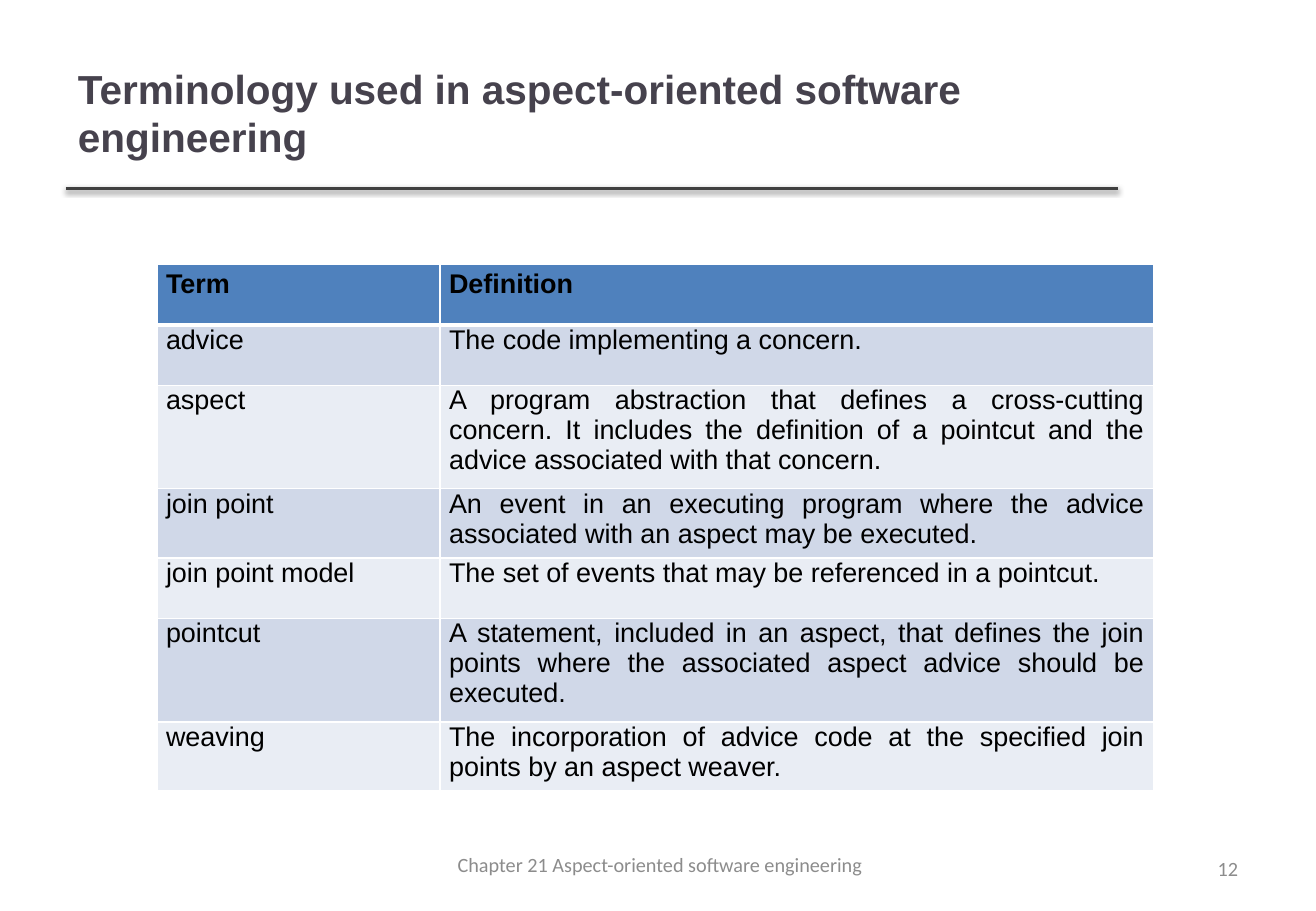
from lxml import etree
from pptx import Presentation
from pptx.dml.color import RGBColor
from pptx.enum.shapes import MSO_CONNECTOR
from pptx.enum.text import MSO_ANCHOR, MSO_AUTO_SIZE, PP_ALIGN
from pptx.oxml import parse_xml
from pptx.oxml.ns import nsdecls, qn
from pptx.util import Pt

LEFT, CENTER, RIGHT, JUSTIFY = PP_ALIGN.LEFT, PP_ALIGN.CENTER, PP_ALIGN.RIGHT, PP_ALIGN.JUSTIFY
TOP, MIDDLE = MSO_ANCHOR.TOP, MSO_ANCHOR.MIDDLE
STRAIGHT = MSO_CONNECTOR.STRAIGHT
NO_AUTOFIT = MSO_AUTO_SIZE.NONE

HEADER_FILL = "4F81BD"
BAND_FILLS = ["D0D8E8", "E9EDF4"]
BORDER_COLOR = "FFFFFF"
FOOTER_COLOR = "8C8C8C"
COLUMN_WIDTHS = [167.8, 422.9]
ROW_HEIGHTS = [36, 36, 61.2, 41, 36, 61.2, 41]
TERMS = [
    ("Term", "Definition"),
    ("advice", "The code implementing a concern."),
    ("aspect", "A program abstraction that defines a cross-cutting concern. It includes the "
               "definition of a pointcut and the advice associated with that concern."),
    ("join point", "An event in an executing program where the advice associated with an "
                   "aspect may be executed."),
    ("join point model", "The set of events that may be referenced in a pointcut."),
    ("pointcut", "A statement, included in an aspect, that defines the join points where the "
                 "associated aspect advice should be executed."),
    ("weaving", "The incorporation of advice code at the specified join points by an aspect "
                "weaver."),
]


def color(hex_string):
    return RGBColor.from_string(hex_string)


def write_text(frame, text, size=16, font="Arial", fill="000000", bold=False,
               align=LEFT, space_after=0):
    frame.word_wrap = True
    paragraph = frame.paragraphs[0]
    paragraph.text = text
    paragraph.alignment = align
    paragraph.space_after = Pt(space_after)
    paragraph.font.size = Pt(size)
    paragraph.font.name = font
    paragraph.font.bold = bold
    paragraph.font.color.rgb = color(fill)


def add_title(slide, left, top, width, height):
    """Fill the title placeholder and rule a shadowed line along its bottom edge."""
    title = slide.shapes.title
    title.left, title.top, title.width, title.height = Pt(left), Pt(top), Pt(width), Pt(height)
    frame = title.text_frame
    frame.auto_size = NO_AUTOFIT
    frame.vertical_anchor = MIDDLE
    write_text(frame, "Terminology used in aspect-oriented software engineering",
               size=24, fill="46424D", bold=True)

    bottom = Pt(top + height)
    rule = slide.shapes.add_connector(STRAIGHT, Pt(left), bottom, Pt(left + width + 1.5), bottom)
    rule.line.color.rgb = color("404040")
    rule.line.width = Pt(2)
    rule._element.spPr.append(parse_xml(
        f'<a:effectLst {nsdecls("a")}><a:outerShdw blurRad="40000" dist="20000" dir="5400000" '
        'rotWithShape="0"><a:srgbClr val="000000"><a:alpha val="38000"/></a:srgbClr>'
        '</a:outerShdw></a:effectLst>'))


def set_borders(cell, bottom_width):
    properties = cell._tc.get_or_add_tcPr()
    widths = {"lnL": 1, "lnR": 1, "lnT": 1, "lnB": bottom_width}
    for position, (side, width) in enumerate(widths.items()):
        line = etree.Element(qn(f"a:{side}"), w=str(Pt(width)))
        solid = etree.SubElement(line, qn("a:solidFill"))
        etree.SubElement(solid, qn("a:srgbClr"), val=BORDER_COLOR)
        properties.insert(position, line)


def add_terms_table(slide, left, top):
    frame = slide.shapes.add_table(len(TERMS), len(COLUMN_WIDTHS), Pt(left), Pt(top),
                                   Pt(sum(COLUMN_WIDTHS)), Pt(sum(ROW_HEIGHTS)))
    table = frame.table
    for column, width in zip(table.columns, COLUMN_WIDTHS):
        column.width = Pt(width)
    for row_index, (row, height) in enumerate(zip(table.rows, ROW_HEIGHTS)):
        row.height = Pt(height)
        is_header = row_index == 0
        for cell, text in zip(row.cells, TERMS[row_index]):
            cell.margin_left = cell.margin_right = Pt(5.4)
            cell.margin_top = Pt(3 if is_header else 0)
            cell.margin_bottom = Pt(0)
            cell.vertical_anchor = TOP
            cell.fill.solid()
            cell.fill.fore_color.rgb = color(
                HEADER_FILL if is_header else BAND_FILLS[(row_index - 1) % 2])
            set_borders(cell, 3 if is_header else 1)
            write_text(cell.text_frame, text, bold=is_header, align=JUSTIFY, space_after=3)


def add_footer_text(slide, text, left, top, width, align):
    box = slide.shapes.add_textbox(Pt(left), Pt(top), Pt(width), Pt(28.8))
    box.text_frame.vertical_anchor = MIDDLE
    write_text(box.text_frame, text, size=12, font="Calibri", fill=FOOTER_COLOR, align=align)


def main():
    presentation = Presentation()
    presentation.slide_width, presentation.slide_height = Pt(780), Pt(540)
    slide = presentation.slides.add_slide(presentation.slide_layouts[5])
    add_title(slide, 39, 21.6, 622, 90)
    add_terms_table(slide, 93, 156.5)
    add_footer_text(slide, "Chapter 21 Aspect-oriented software engineering",
                    242.6, 498.2, 297.4, CENTER)
    add_footer_text(slide, "12", 558.7, 500.4, 182.2, RIGHT)
    presentation.save("out.pptx")


if __name__ == "__main__":
    main()
